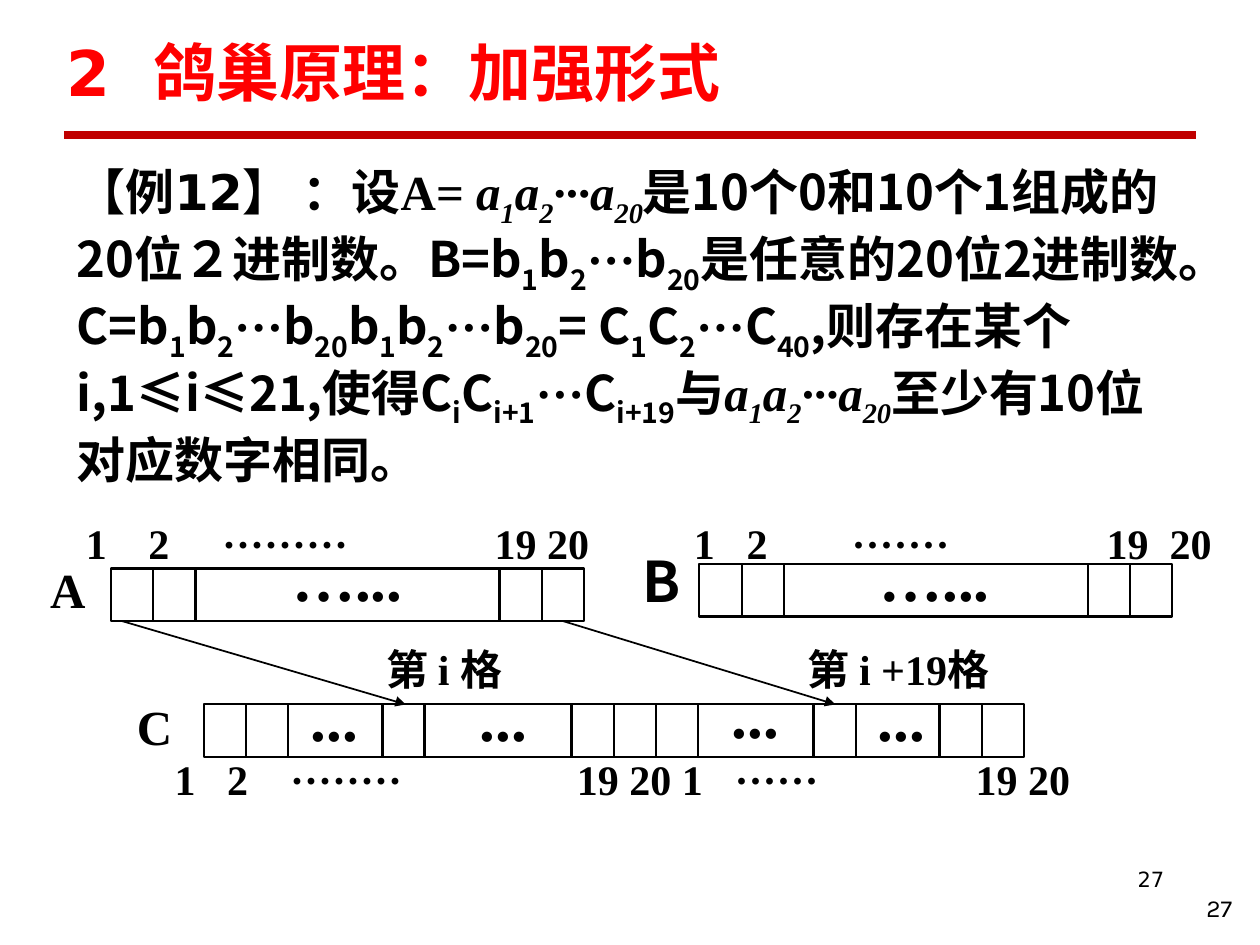
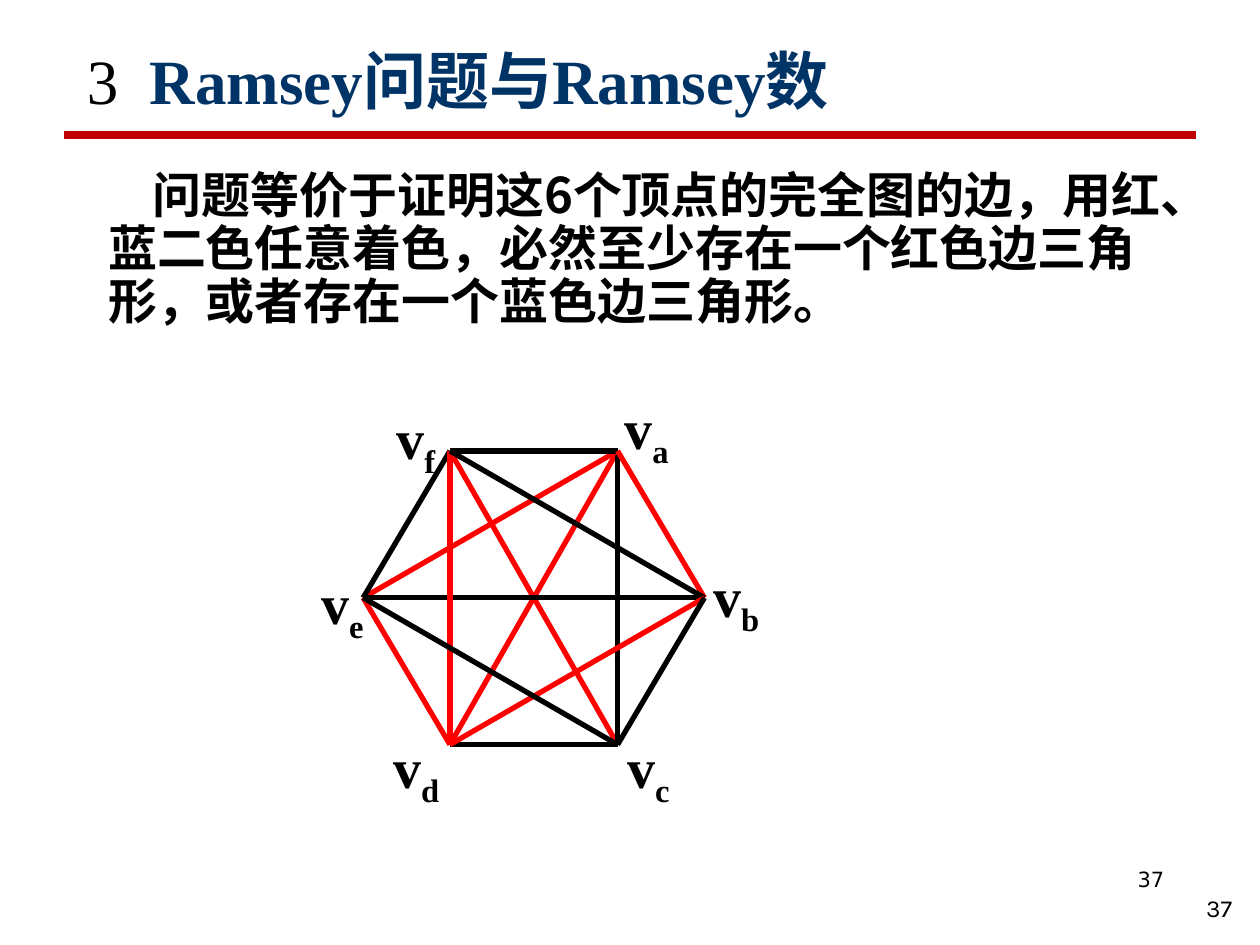
from itertools import accumulate
from lxml.etree import SubElement
from pptx import Presentation
from pptx.dml.color import RGBColor
from pptx.enum.shapes import MSO_CONNECTOR, MSO_SHAPE
from pptx.enum.text import MSO_ANCHOR, PP_ALIGN
from pptx.oxml.ns import qn
from pptx.util import Cm, Pt

BLACK, RED, NAVY, RULE = "000000", "FF0000", "003366", "C00000"
SANS, CJK, SERIF, NUMBER = "DejaVu Sans", "Noto Sans CJK SC", "Times New Roman", "Karla"
CELL, BAR_H = 0.85, 1.06
VERTEX_LABEL_W = 2
DOTS = "···"


def rgb(value):
    return RGBColor.from_string(value)


def add_run(p, text, size=24, font=SERIF, color=BLACK, bold=True, italic=False, sub=False):
    r = p.add_run()
    r.text = text
    r.font.size, r.font.name = Pt(size), font
    r.font.bold, r.font.italic = bold, italic
    r.font.color.rgb = rgb(color)
    rPr = r.font._element
    SubElement(rPr, qn("a:ea")).set("typeface", CJK)
    if sub:
        rPr.set("baseline", "-25000")


def add_marked(p, text, **fmt):
    for k, part in enumerate(text.split("|")):
        if part:
            add_run(p, part, sub=k % 2 == 1, **fmt)


def add_text(s, x, y, w, h, content, align=PP_ALIGN.LEFT, anchor=MSO_ANCHOR.TOP,
             wrap=True, inset=True, spacing=None, before=0, indent=0, **fmt):
    tf = s.shapes.add_textbox(Cm(x), Cm(y), Cm(w), Cm(h)).text_frame
    tf.word_wrap, tf.vertical_anchor = wrap, anchor
    if not inset:
        tf.margin_left = tf.margin_right = tf.margin_top = tf.margin_bottom = 0
    p = tf.paragraphs[0]
    p.alignment, p.space_before = align, Pt(before)
    if spacing:
        p.line_spacing = spacing
    if indent:
        p._p.get_or_add_pPr().set("indent", str(Cm(indent)))
    parts = [(content, {})] if isinstance(content, str) else content
    for text, extra in parts:
        add_marked(p, text, **{**fmt, **extra})


def add_line(shapes, start, end, color=BLACK, width=1.25, arrow=False):
    points = [Cm(v) for v in (*start, *end)]
    sp = shapes.add_connector(MSO_CONNECTOR.STRAIGHT, *points)
    sp.line.color.rgb, sp.line.width = rgb(color), Pt(width)
    if arrow:
        SubElement(sp.line._get_or_add_ln(), qn("a:tailEnd")).set("type", "triangle")
    SubElement(sp._element.spPr, qn("a:effectLst"))


def add_bar(s, x, y, widths):
    *dividers, total = accumulate(widths)
    shapes = s.shapes.add_group_shape().shapes
    sp = shapes.add_shape(MSO_SHAPE.RECTANGLE, Cm(x), Cm(y), Cm(total), Cm(BAR_H))
    sp.shadow.inherit = False
    sp.fill.background()
    sp.line.color.rgb, sp.line.width = rgb(BLACK), Pt(1.25)
    for d in dividers:
        add_line(shapes, (x + d, y), (x + d, y + BAR_H))


def add_labels(s, y, labels):
    for x, text in labels:
        add_text(s, x, y, 0.45 * len(text), 1.02, text, wrap=False, inset=False)


def add_slide(prs, number):
    s = prs.slides.add_slide(prs.slide_layouts[6])
    add_line(s.shapes, (1.3, 2.72), (24.1, 2.72), RULE, 5)
    add_text(s, 18.21, 17.35, 5.51, 1.32, number, align=PP_ALIGN.RIGHT,
             size=12, font=SANS, bold=False)
    add_text(s, 19.81, 17.45, 5.28, 1.27, number, align=PP_ALIGN.RIGHT,
             anchor=MSO_ANCHOR.BOTTOM, size=14, font=NUMBER, bold=False)
    return s


def theorem_parts():
    sequence = ("a|1|a|2|···a|20", {"italic": True})
    claim = ("是10个0和10个1组成的20位２进制数。B=b|1|b|2|···b|20|是任意的20位2进制数。"
             "C=b|1|b|2|···b|20|b|1|b|2|···b|20|= C|1|C|2|···C|40|,"
             "则存在某个i,1≤i≤21,使得C|i|C|i+1|···C|i+19|与")
    parts = [("【例12】 ", {"font": SANS}), ("：设", {"font": CJK}), ("A= ", {}), sequence]
    for k, piece in enumerate(claim.split(DOTS)):
        if k:
            parts.append((DOTS, {}))
        parts.append((piece, {"font": CJK}))
    return parts + [sequence, ("至少有10位对应数字相同。", {"font": CJK})]


def pigeonhole_slide(prs):
    s = add_slide(prs, "27")
    add_text(s, 1.09, 0.53, 21.8, 1.8,
             [("2", {}), ("\u3000", {"size": 25}), ("鸽巢原理：加强形式", {})],
             anchor=MSO_ANCHOR.BOTTOM, size=36, font=SANS, color=RED)
    add_text(s, 1.3, 3.14, 22.8, 7, theorem_parts(), size=28)

    short_bar = [CELL, CELL, 6.13, CELL, CELL]
    long_bar = [CELL, CELL, 1.9, CELL, 2.96, CELL, CELL, CELL, 2.33, CELL, 1.69, CELL, CELL]
    add_bar(s, 2.24, 11.46, short_bar)
    add_bar(s, 14.1, 11.37, short_bar)
    add_bar(s, 4.11, 14.2, long_bar)
    for x in (5.64, 17.48):
        add_text(s, x, 10.74, 2.74, 1.78, "…...", size=36)
    for x, y in ((6.02, 13.56), (9.42, 13.56), (14.5, 13.49), (17.45, 13.56)):
        add_text(s, x, y, 2.1, 1.78, "...", size=36)

    add_text(s, 0.76, 11.15, 1.22, 1.45, "A", wrap=False, size=28)
    add_text(s, 2.51, 13.92, 1.22, 1.45, "C", wrap=False, size=28)
    add_text(s, 12.95, 11.18, 0.7, 1.22, "B", wrap=False, inset=False,
             spacing=0.9, before=8, size=32, font=CJK)
    add_line(s.shapes, (2.46, 12.52), (8.18, 14.2), width=1, arrow=True)
    add_line(s.shapes, (11.35, 12.52), (16.84, 14.2), width=1, arrow=True)
    add_text(s, 7.54, 12.85, 3.25, 1.27, "第 i 格", wrap=False)
    add_text(s, 16.03, 12.85, 4.57, 1.27, "第 i +19格", wrap=False)

    add_labels(s, 10.44, [(1.73, "1"), (2.99, "2"), (4.48, "·········"), (9.97, "19 20"),
                          (13.99, "1"), (15.05, "2"), (17.17, "·······"),
                          (22.31, "19"), (23.58, "20")])
    add_labels(s, 15.19, [(3.52, "1"), (4.58, "2"), (5.85, "········"), (11.63, "19 20 1"),
                          (14.81, "······"), (19.67, "19 20")])


def ramsey_slide(prs):
    s = add_slide(prs, "37")
    add_text(s, 2.18, 3.45, 21.31, 3.2,
             "问题等价于证明这6个顶点的完全图的边，用红、蓝二色任意着色，"
             "必然至少存在一个红色边三角形，或者存在一个蓝色边三角形。",
             inset=False, spacing=0.9, before=7, indent=0.9, size=28, font=CJK)

    label_centers = {"a": (13.03, 8.71), "b": (14.84, 12.1), "c": (13.07, 15.54),
                     "d": (8.39, 15.53), "e": (6.9, 12.24), "f": (8.38, 8.91)}
    for name, (x, y) in label_centers.items():
        add_text(s, x - VERTEX_LABEL_W / 2, y - 0.75, VERTEX_LABEL_W, 1.5, f"v|{name}|",
                 align=PP_ALIGN.CENTER, anchor=MSO_ANCHOR.MIDDLE, inset=False,
                 before=8, size=32)

    vertices = {"a": (12.45, 9.09), "b": (14.2, 12.05), "c": (12.45, 15.01),
                "d": (9.07, 15.01), "e": (7.32, 12.05), "f": (9.07, 9.09)}
    red_edges = {"fc", "ad", "ae", "ed", "ab", "fd", "bd"}
    for edge in "fc ad ac ae fa fe ed dc eb ab fd fb bd bc ec".split():
        start, end = edge
        add_line(s.shapes, vertices[start], vertices[end],
                 RED if edge in red_edges else BLACK, 3)

    add_text(s, 1.5, 0.71, 21.8, 1.8,
             [("3\u2002", {"color": BLACK, "bold": False}), ("Ramsey问题与Ramsey数", {})],
             size=36, color=NAVY)


def main():
    prs = Presentation()
    prs.slide_width, prs.slide_height = Cm(25.4), Cm(19.05)
    pigeonhole_slide(prs)
    ramsey_slide(prs)
    prs.save("out.pptx")


main()
